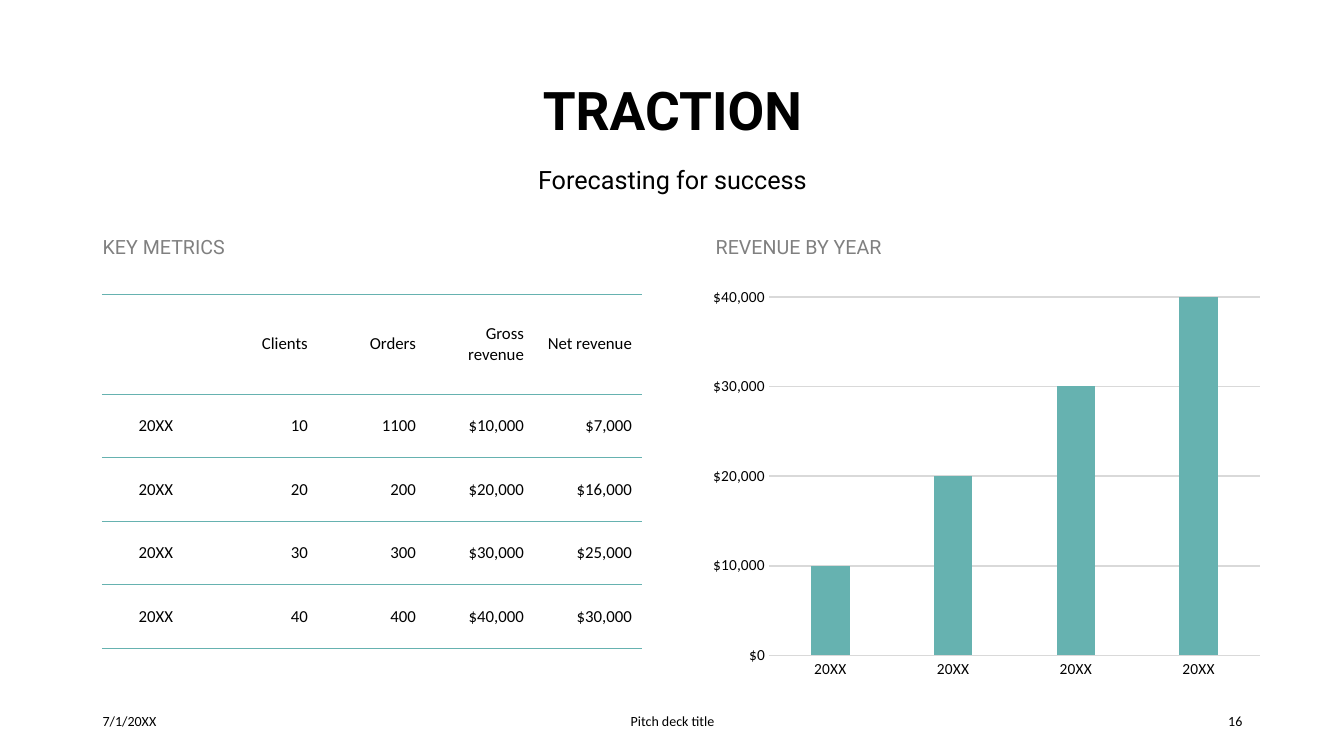
from lxml.etree import SubElement
from pptx import Presentation
from pptx.chart.data import CategoryChartData
from pptx.dml.color import RGBColor
from pptx.enum.chart import XL_CHART_TYPE, XL_TICK_MARK
from pptx.enum.text import MSO_ANCHOR, PP_ALIGN
from pptx.oxml.ns import qn
from pptx.util import Inches, Pt

BLACK = RGBColor(0x00, 0x00, 0x00)
GRAY = RGBColor(0x80, 0x80, 0x80)
GRID = RGBColor(0xD9, 0xD9, 0xD9)
TEAL = RGBColor(0x66, 0xB2, 0xB0)

METRICS = [
    ["", "Clients", "Orders", "Gross revenue", "Net revenue"],
    ["20XX", "10", "1100", "$10,000", "$7,000"],
    ["20XX", "20", "200", "$20,000", "$16,000"],
    ["20XX", "30", "300", "$30,000", "$25,000"],
    ["20XX", "40", "400", "$40,000", "$30,000"],
]
REVENUE = [10000, 20000, 30000, 40000]


class SlideBuilder:
    heading_font = "Roboto"
    body_font = "Calibri"

    def __init__(self, slide):
        self.slide = slide

    def style_font(self, font, name, size, color=BLACK, bold=False):
        font.name = name
        font.size = Pt(size)
        font.bold = bold
        font.color.rgb = color

    def text(self, text, left, top, width, height, size, font=heading_font,
             color=BLACK, bold=False, align=PP_ALIGN.LEFT,
             anchor=MSO_ANCHOR.MIDDLE, line_spacing=None):
        box = self.slide.shapes.add_textbox(
            Inches(left), Inches(top), Inches(width), Inches(height))
        text_frame = box.text_frame
        text_frame.word_wrap = True
        text_frame.vertical_anchor = anchor
        text_frame.text = text
        paragraph = text_frame.paragraphs[0]
        paragraph.alignment = align
        paragraph.line_spacing = line_spacing
        self.style_font(paragraph.runs[0].font, font, size, color, bold)

    def cell_borders(self, cell):
        properties = cell._tc.get_or_add_tcPr()
        for side in ("a:lnL", "a:lnR"):
            SubElement(SubElement(properties, qn(side)), qn("a:noFill"))
        for side in ("a:lnT", "a:lnB"):
            line = SubElement(properties, qn(side), w=str(Pt(1)))
            fill = SubElement(line, qn("a:solidFill"))
            SubElement(fill, qn("a:srgbClr"), val=str(TEAL))

    def table(self, rows, left, top, width, header_height, row_height):
        height = header_height + row_height * (len(rows) - 1)
        table = self.slide.shapes.add_table(
            len(rows), len(rows[0]), Inches(left), Inches(top),
            Inches(width), Inches(height)).table
        table.first_row = table.horz_banding = False
        for row_index, values in enumerate(rows):
            table.rows[row_index].height = Inches(row_height if row_index else header_height)
            for column_index, value in enumerate(values):
                cell = table.cell(row_index, column_index)
                self.cell_borders(cell)
                cell.fill.background()
                cell.vertical_anchor = MSO_ANCHOR.MIDDLE
                cell.text_frame.text = value
                paragraph = cell.text_frame.paragraphs[0]
                paragraph.alignment = PP_ALIGN.RIGHT if column_index else PP_ALIGN.CENTER
                self.style_font(paragraph.font, self.body_font, 12)
                for run in paragraph.runs:
                    self.style_font(run.font, self.body_font, 12)

    def column_chart(self, categories, values, left, top, width, height):
        data = CategoryChartData()
        data.categories = categories
        data.add_series("Series 1", values)
        chart = self.slide.shapes.add_chart(
            XL_CHART_TYPE.COLUMN_CLUSTERED, Inches(left), Inches(top),
            Inches(width), Inches(height), data).chart
        chart.has_legend = False
        chart.has_title = False
        self.style_font(chart.font, self.body_font, 10)

        # Columns
        plot = chart.plots[0]
        plot.vary_by_categories = False
        plot.gap_width = 219
        plot.overlap = -27
        fill = plot.series[0].format.fill
        fill.solid()
        fill.fore_color.rgb = TEAL

        # Axes and gridlines
        category_axis, value_axis = chart.category_axis, chart.value_axis
        for axis in (category_axis, value_axis):
            axis.major_tick_mark = axis.minor_tick_mark = XL_TICK_MARK.NONE
            self.style_font(axis.tick_labels.font, self.body_font, 11)
        value_axis.minimum_scale = 0
        value_axis.maximum_scale = 40000
        value_axis.major_unit = 10000
        value_axis.tick_labels.number_format = "[$$-409]#,##0"
        value_axis.tick_labels.number_format_is_linked = False
        value_axis.format.line.fill.background()
        for line in (category_axis.format.line, value_axis.major_gridlines.format.line):
            line.color.rgb = GRID
            line.width = Pt(1.25)


def main():
    presentation = Presentation()
    presentation.slide_width = Inches(13.33)
    presentation.slide_height = Inches(7.5)
    builder = SlideBuilder(presentation.slides.add_slide(presentation.slide_layouts[6]))

    # Title and subtitle
    builder.text("TRACTION", 1.72, 0.77, 9.9, 0.7, 38, bold=True,
                 align=PP_ALIGN.CENTER, line_spacing=0.9)
    builder.text("Forecasting for success", 1.72, 1.52, 9.9, 0.43, 18,
                 align=PP_ALIGN.CENTER, anchor=MSO_ANCHOR.TOP, line_spacing=Pt(26))

    # Section headings
    for heading, left, width in (("KEY METRICS", 0.92, 5.64), ("REVENUE BY YEAR", 7, 4.74)):
        builder.text(heading, left, 2.19, width, 0.43, 14, color=GRAY,
                     anchor=MSO_ANCHOR.BOTTOM, line_spacing=0.9)

    # Metrics and revenue
    builder.table(METRICS, 1.01, 2.92, 5.36, 0.99, 0.63)
    builder.column_chart([row[0] for row in METRICS[1:]], REVENUE, 6.96, 2.77, 5.65, 4.04)

    # Footer
    for text, left, width, align in (
            ("7/1/20XX", 0.92, 3, PP_ALIGN.LEFT),
            ("Pitch deck title", 4.42, 4.5, PP_ALIGN.CENTER),
            ("16", 9.42, 3, PP_ALIGN.RIGHT)):
        builder.text(text, left, 6.95, width, 0.4, 10, font=builder.body_font, align=align)

    presentation.save("out.pptx")


if __name__ == "__main__":
    main()
